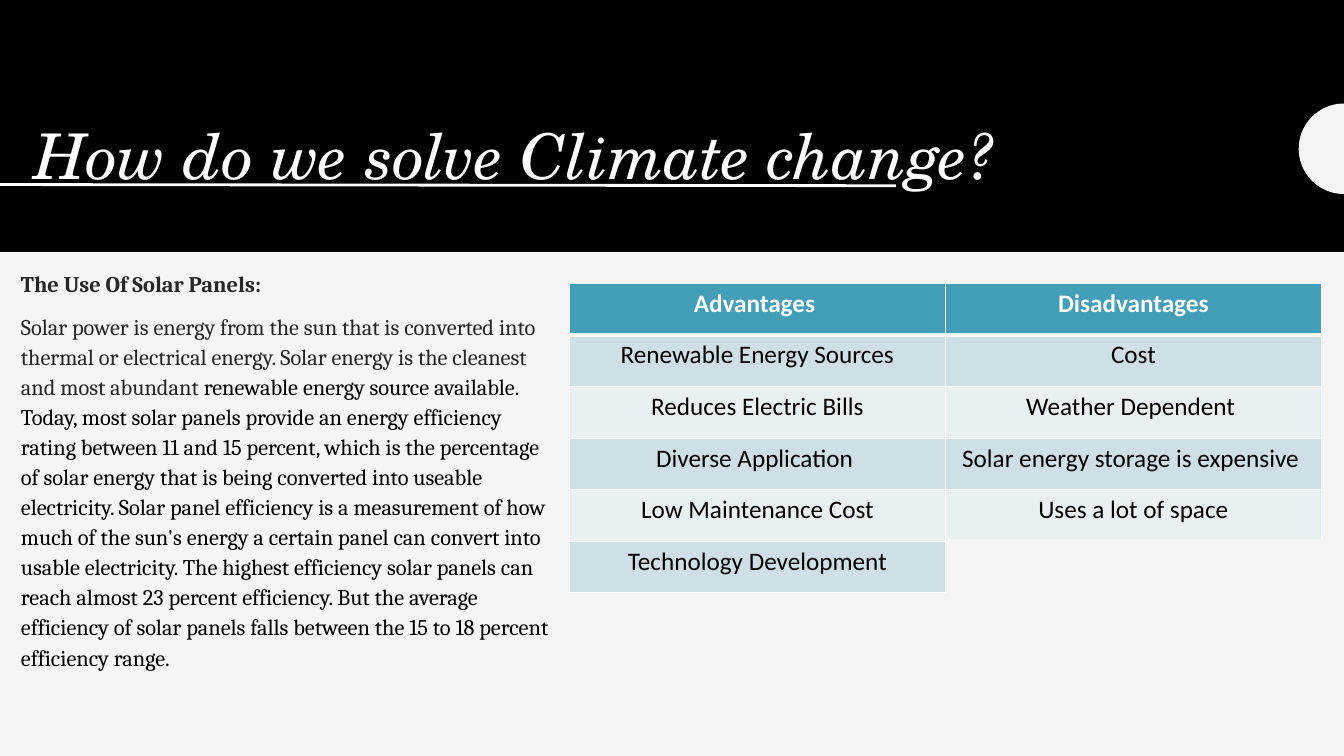
import math
import pptx
import pptx.util
import pptx.dml.color
import pptx.enum.shapes
import pptx.enum.text
import pptx.oxml
import pptx.oxml.ns

Cm, Pt = pptx.util.Cm, pptx.util.Pt
RGBColor = pptx.dml.color.RGBColor
ALIGN = pptx.enum.text.PP_ALIGN
ANCHOR = pptx.enum.text.MSO_ANCHOR
SHAPE = pptx.enum.shapes.MSO_SHAPE
LINE = pptx.enum.shapes.MSO_CONNECTOR

PAPER = RGBColor(0xF5, 0xF5, 0xF5)
BLACK = RGBColor(0, 0, 0)
WHITE = RGBColor(255, 255, 255)
GREY = RGBColor(0x26, 0x26, 0x26)
TEAL = RGBColor(0x43, 0x9E, 0xB7)
DARK = RGBColor(0xCF, 0xDF, 0xE6)
LIGHT = RGBColor(0xE9, 0xF0, 0xF3)

WIDE, HIGH = 33.87, 19.05

TITLE = "How do we solve Climate change?"
HEAD = "The Use Of Solar Panels:"
INTRO = (
    "Solar power is energy from the sun that is converted into thermal or "
    "electrical energy. Solar energy is the cleanest and most abundant "
)
FACTS = (
    "renewable energy source available. Today, most solar panels provide "
    "an energy efficiency rating between 11 and 15 percent, which is the "
    "percentage of solar energy that is being converted into useable "
    "electricity. Solar panel efficiency is a measurement of how much of "
    "the sun's energy a certain panel can convert into usable electricity. "
    "The highest efficiency solar panels can reach almost 23 percent "
    "efficiency. But the average efficiency of solar panels falls between "
    "the 15 to 18 percent efficiency range."
)
ROWS = [
    ("Advantages ", "Disadvantages"),
    ("Renewable Energy Sources", "Cost"),
    ("Reduces Electric Bills", "Weather Dependent "),
    ("Diverse Application ", "Solar energy storage is expensive "),
    ("Low Maintenance Cost", "Uses a lot of space"),
    ("Technology Development", ""),
]


def add_run(para, text, font, size, color, bold=False, italic=False):
    run = para.add_run()
    run.text = text
    run.font.name = font
    run.font.size = Pt(size)
    run.font.color.rgb = color
    run.font.bold = bold
    run.font.italic = italic


def paint(shape, color):
    shape.shadow.inherit = False
    shape.fill.solid()
    shape.fill.fore_color.rgb = color
    shape.line.fill.background()


def add_rect(slide, x, y, w, h, color):
    rect = slide.shapes.add_shape(SHAPE.RECTANGLE, Cm(x), Cm(y), Cm(w), Cm(h))
    paint(rect, color)
    return rect


def add_frame(slide, x, y, w, h, anchor):
    """Add a wrapping text box and return its text frame."""
    frame = slide.shapes.add_textbox(Cm(x), Cm(y), Cm(w), Cm(h)).text_frame
    frame.word_wrap = True
    frame.vertical_anchor = anchor
    return frame


def add_half(slide, x, y, r):
    """Draw the left half of a disc centred on x, y."""
    turns = [math.pi * (0.5 + i / 48) for i in range(49)]
    points = [(Cm(x + r * math.cos(t)), Cm(y - r * math.sin(t))) for t in turns]
    form = slide.shapes.build_freeform(*points[0])
    form.add_line_segments(points[1:], close=True)
    paint(form.convert_to_shape(), PAPER)


def add_banner(slide, x, y, w, h):
    add_rect(slide, x, y, w, h, BLACK)
    frame = add_frame(slide, x + 0.28, y + 2.87, 25.04, 2.11, ANCHOR.BOTTOM)
    para = frame.paragraphs[0]
    para.alignment = ALIGN.RIGHT
    para.line_spacing = 0.9
    add_run(para, TITLE, "TeX Gyre Schola", 45, WHITE, italic=True)
    rule = slide.shapes.add_connector(
        LINE.STRAIGHT, Cm(x), Cm(y + 4.65), Cm(x + 22.58), Cm(y + 4.68))
    rule.line.color.rgb = WHITE
    rule.line.width = Pt(2)
    pptx.oxml.ns.qn("a:effectLst")
    rule._element.spPr.append(pptx.oxml.parse_xml(
        "<a:effectLst %s/>" % pptx.oxml.ns.nsdecls("a")))
    add_half(slide, x + w, y + 3.75, 1.14)


def add_body(slide, x, y, w, h):
    frame = add_frame(slide, x, y, w, h, ANCHOR.TOP)
    head, text = frame.paragraphs[0], frame.add_paragraph()
    for para in (head, text):
        para.line_spacing = 1.12
        para.space_before = Pt(9)
    add_run(head, HEAD, "Cambria", 16, GREY, bold=True)
    add_run(text, INTRO, "Cambria", 16, GREY)
    add_run(text, FACTS, "Cambria", 16, BLACK)


def add_edges(cell, base):
    """Give a cell white borders, the bottom one base points wide."""
    props = cell._tc.get_or_add_tcPr()
    for i, (side, width) in enumerate(zip("LRTB", (1, 1, 1, base))):
        props.insert(i, pptx.oxml.parse_xml(
            '<a:ln%s %s w="%d"><a:solidFill><a:srgbClr val="%s"/>'
            "</a:solidFill></a:ln%s>"
            % (side, pptx.oxml.ns.nsdecls("a"), Pt(width), WHITE, side)))


def add_grid(slide, x, y, w, h):
    count = len(ROWS)
    grid = slide.shapes.add_table(count, 2, Cm(x), Cm(y), Cm(w), Cm(h)).table
    for i, texts in enumerate(ROWS):
        grid.rows[i].height = Cm(h / count)
        top = i == 0
        for j, text in enumerate(texts):
            cell = grid.cell(i, j)
            cell.fill.solid()
            cell.fill.fore_color.rgb = TEAL if top else DARK if i % 2 else LIGHT
            add_edges(cell, 3 if top else 1)
            if text:
                para = cell.text_frame.paragraphs[0]
                para.alignment = ALIGN.CENTER
                add_run(para, text, "Calibri", 18, WHITE if top else BLACK, top)
    patch = add_rect(slide, x + w / 2 + 0.03, y + 6.45, 9.73, 1.55, PAPER)
    patch.line.color.rgb = PAPER
    patch.line.width = Pt(1)


def main():
    deck = pptx.Presentation()
    deck.slide_width, deck.slide_height = Cm(WIDE), Cm(HIGH)
    slide = deck.slides.add_slide(deck.slide_layouts[6])
    slide.background.fill.solid()
    slide.background.fill.fore_color.rgb = PAPER
    add_banner(slide, 0, 0, WIDE, 6.35)
    add_body(slide, 0.28, 6.6, 13.82, 12.14)
    add_grid(slide, 14.35, 7.14, 18.95, 7.8)
    deck.save("out.pptx")


if __name__ == "__main__":
    main()
